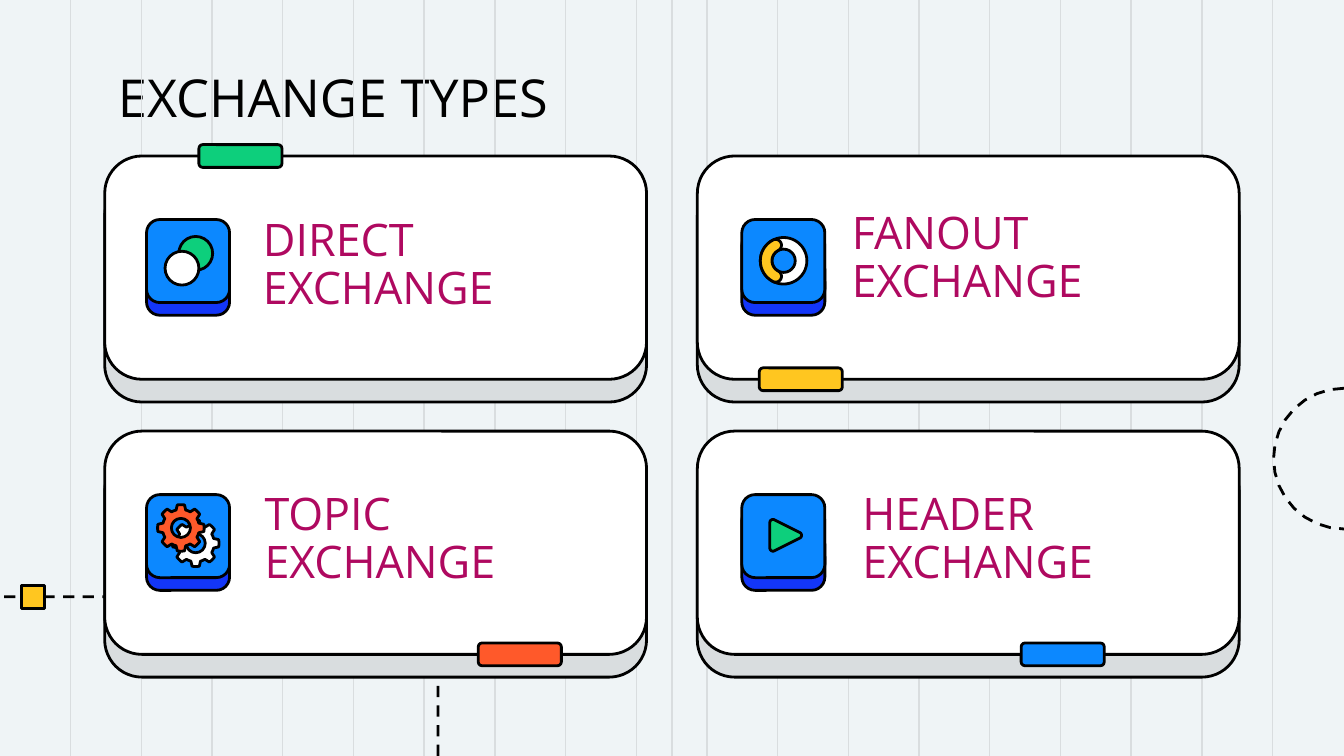
"""Build the slide that shows the four exchange types as cards."""
from math import cos, radians, sin

from lxml.etree import SubElement
from pptx import Presentation
from pptx.dml.color import RGBColor as Rgb
from pptx.enum.dml import MSO_LINE as Dash
from pptx.enum.shapes import MSO_CONNECTOR as Connector, MSO_SHAPE as Preset
from pptx.enum.text import MSO_ANCHOR as Anchor, PP_ALIGN as Align
from pptx.oxml.ns import qn
from pptx.util import Cm, Pt

COLORS = {
    "paper": "EFF4F6", "grid": "D9DDDF", "ink": "000000", "white": "FFFFFF",
    "heading": "AF0960", "blue": "0C88FF", "navy": "1336F8",
    "green": "0DCF7C", "yellow": "FFC620", "orange": "FF592A",
}


def write(holder, text, size, color, spacing=1.0):
    frame = holder.text_frame
    frame.word_wrap = True
    frame.vertical_anchor = Anchor.TOP
    frame.margin_left = frame.margin_right = Cm(0.25)
    frame.margin_top = frame.margin_bottom = Cm(0.25)
    paragraph = frame.paragraphs[0]
    paragraph.alignment = Align.LEFT
    paragraph.line_spacing = spacing
    run = paragraph.add_run()
    run.text = text
    run.font.name = "Open Sans"
    run.font.size = Pt(size)
    run.font.color.rgb = Rgb.from_string(COLORS[color])


def draw(form, box=None, fill=None, adjust=None):
    """Draw a preset in a box, or contours made of (x, y, radius, start, stop) arcs."""
    if box:
        shape = shapes.add_shape(form, *[Cm(length) for length in box])
        if adjust:
            shape.adjustments[0] = adjust
    else:
        builder = None
        for contour in form:
            points = []
            for x, y, radius, start, stop in contour:
                steps = 16 if radius else 0
                for step in range(steps + 1):
                    angle = radians(start + (stop - start) * step / max(steps, 1))
                    points.append((Cm(x + radius * cos(angle)), Cm(y + radius * sin(angle))))
            if builder:
                builder.move_to(*points[0])
            else:
                builder = shapes.build_freeform(*points[0])
            builder.add_line_segments(points[1:], close=fill is not None)
        shape = builder.convert_to_shape()
    shape.shadow.inherit = False
    shape.line.color.rgb = Rgb.from_string(COLORS["ink"])
    shape.line.width = Pt(1.5)
    if fill:
        shape.fill.solid()
        shape.fill.fore_color.rgb = Rgb.from_string(COLORS[fill])
    else:
        shape.fill.background()
        shape.line.dash_style = Dash.DASH


deck = Presentation()
deck.slide_width, deck.slide_height = Cm(25.4), Cm(14.29)
slide = deck.slides.add_slide(deck.slide_layouts[5])
shapes = slide.shapes
slide.background.fill.solid()
slide.background.fill.fore_color.rgb = Rgb.from_string(COLORS["paper"])

for x in [24.05 * column / 18 for column in range(1, 19)] + [12.7]:
    rule = shapes.add_connector(Connector.STRAIGHT, Cm(x), 0, Cm(x), deck.slide_height)
    rule.line.color.rgb = Rgb.from_string(COLORS["grid"])
    rule.line.width = Pt(0.75)
    SubElement(rule._element.spPr, qn("a:effectLst"))

draw([[(25.4, 8.67, 1.33, 270, 90)]])
draw([[(8.28, 14.29, 0, 0, 0), (6.86, 12.7, 1.42, 0, -90), (0, 11.28, 0, 0, 0)]])
draw(Preset.RECTANGLE, (0.41, 11.07, 0.43, 0.43), "yellow")

heading = shapes.title
heading.left, heading.top, heading.width, heading.height = Cm(1.98), Cm(1.07), Cm(21.44), Cm(1.6)
write(heading, "EXCHANGE TYPES", size=28, color="ink", spacing=0.95)

card_width, card_height, depth = 10.24, 4.22, 0.43
tile, tile_depth = 1.57, 0.24
cards = [
    ("DIRECT EXCHANGE", 1.98, 2.95, 2.77, (4.72, 3.86), 3.76, 0, "green"),
    ("FANOUT EXCHANGE", 13.18, 2.95, 14.02, (15.85, 3.73), 14.35, card_height, "yellow"),
    ("TOPIC EXCHANGE", 1.98, 8.15, 2.77, (4.75, 9.04), 9.04, card_height, "orange"),
    ("HEADER EXCHANGE", 13.18, 8.15, 14.02, (16.05, 9.04), 19.3, card_height, "blue"),
]
for name, left, top, tile_left, name_at, tab_left, tab_edge, tab_color in cards:
    for drop, color in ((depth, "grid"), (0, "white")):
        draw(Preset.ROUNDED_RECTANGLE, (left, top + drop, card_width, card_height), color, 0.167)
    tab_top = top + tab_edge - depth / 2
    draw(Preset.ROUNDED_RECTANGLE, (tab_left, tab_top, tile, depth), tab_color, 0.167)
    for drop, color in ((tile_depth, "navy"), (0, "blue")):
        draw(Preset.ROUNDED_RECTANGLE, (tile_left, top + 1.2 + drop, tile, tile), color, 0.16)
    label = shapes.add_textbox(Cm(name_at[0]), Cm(name_at[1]), Cm(6.78), Cm(2.6))
    write(label, name, size=24, color="heading", spacing=0.9)

for x, y, color in ((3.38, 4.47, "green"), (3.12, 4.75, "white")):
    draw(Preset.OVAL, (x, y, 0.64, 0.64), color)

ring_x, ring_y = 14.81, 4.93
draw(Preset.DONUT, (ring_x - 0.44, ring_y - 0.44, 0.88, 0.88), "white", 0.25)
caps = [(ring_x + 0.33 * cos(radians(angle)), ring_y + 0.33 * sin(radians(angle)), 0.11,
         angle + turn, angle + turn + 180) for angle, turn in ((243, 0), (117, 180))]
draw([[(ring_x, ring_y, 0.44, 117, 243), caps[0], (ring_x, ring_y, 0.22, 243, 117), caps[1]]],
     fill="yellow")

for x, y, color in ((3.7, 10.27, "white"), (3.42, 9.98, "orange")):
    teeth = [(x, y, radius, tooth + start, tooth + stop) for tooth in range(0, 360, 45)
             for radius, start, stop in ((0.44, -9, 9), (0.35, 15, 30))]
    draw([teeth, [(x, y, 0.18, 360, 0)]], fill=color)

draw([[(14.61, 9.88, 0.06, 180, 300), (15.09, 10.12, 0.06, -60, 60),
       (14.61, 10.36, 0.06, 60, 180)]], fill="green")

deck.save("out.pptx")
